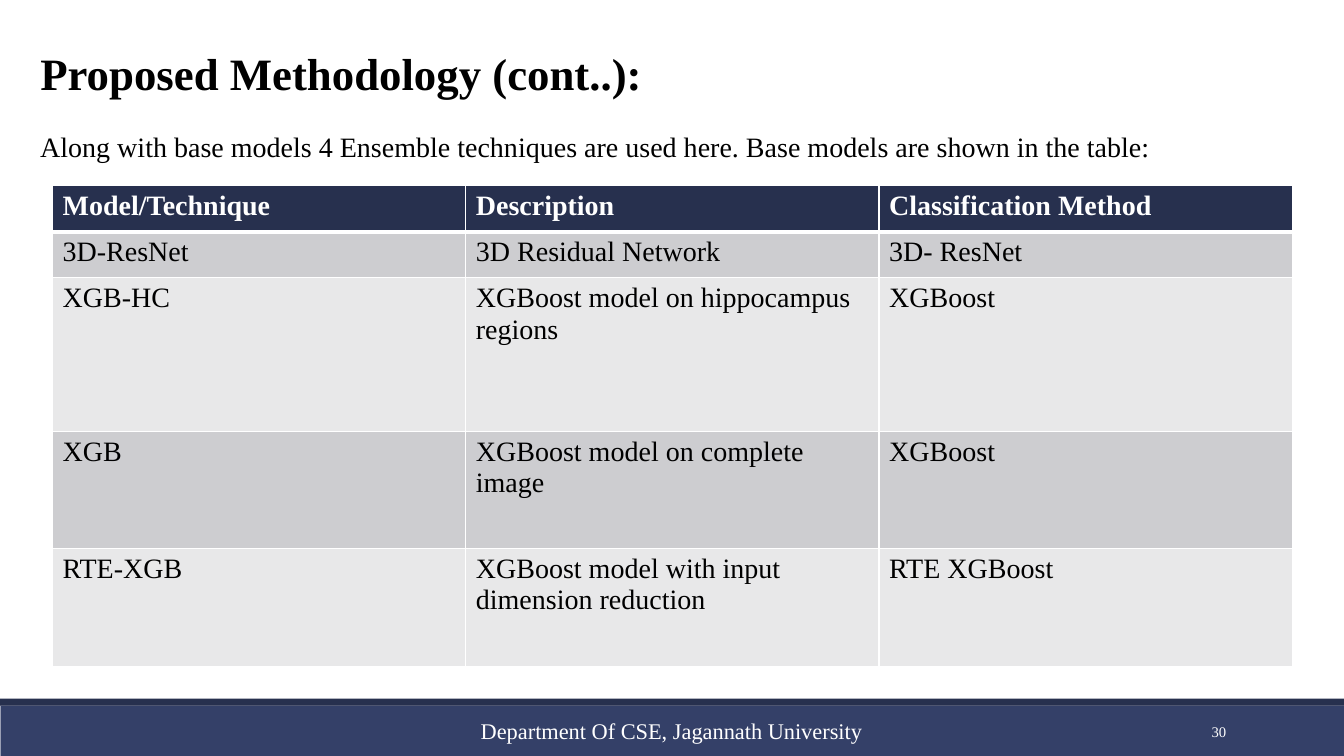
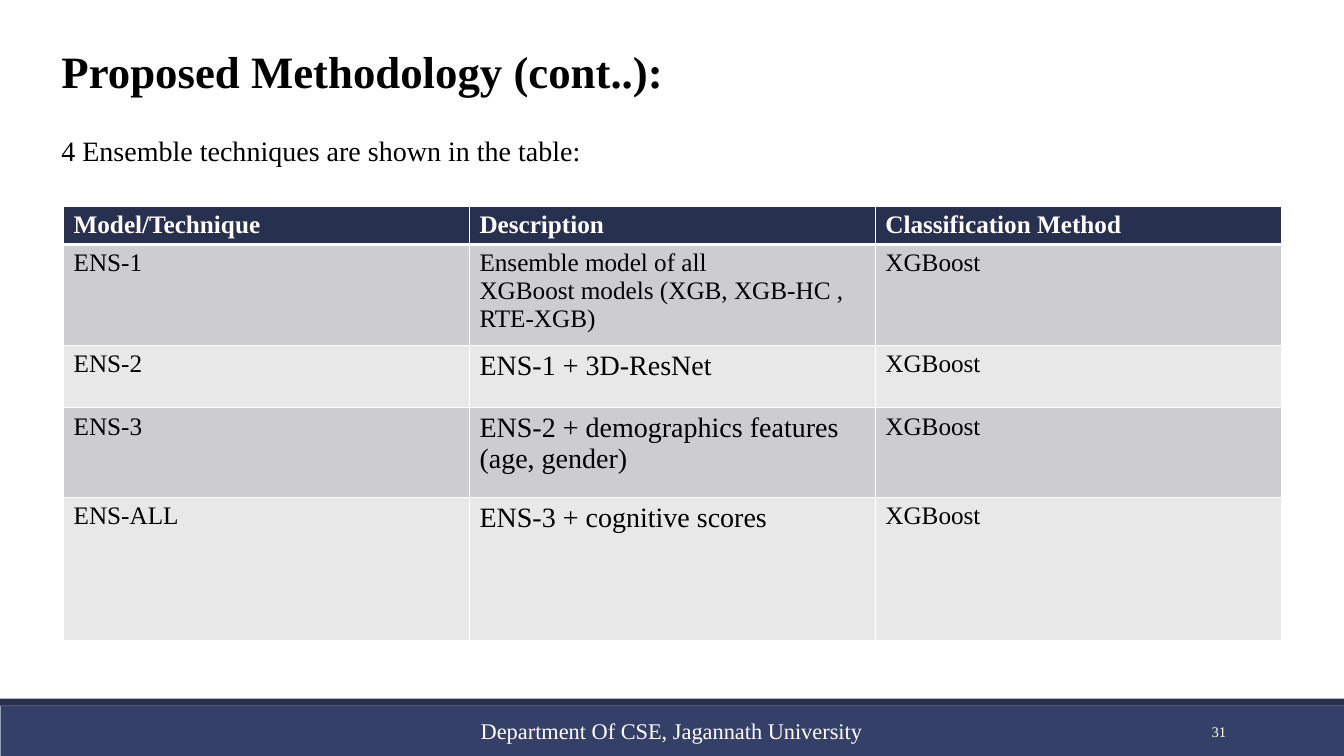
from lxml import etree
from pptx import Presentation
from pptx.dml.color import RGBColor
from pptx.enum.shapes import MSO_SHAPE
from pptx.enum.text import MSO_ANCHOR, MSO_AUTO_SIZE, PP_ALIGN
from pptx.oxml.ns import qn
from pptx.util import Pt

RECTANGLE = MSO_SHAPE.RECTANGLE
TOP, MIDDLE = MSO_ANCHOR.TOP, MSO_ANCHOR.MIDDLE
LEFT, CENTER, RIGHT = PP_ALIGN.LEFT, PP_ALIGN.CENTER, PP_ALIGN.RIGHT
NO_FIT = MSO_AUTO_SIZE.NONE
TITLE_ONLY = 5
WIDTH, HEIGHT = 960, 540

FONT = "Times New Roman"
BLACK, WHITE = "000000", "FFFFFF"
NAVY, INDIGO, OUTLINE = "27304E", "344068", "9A9FB4"
BANDS = ("CDCDD0", "E8E8E9")
HEADINGS = ("Model/Technique", "Description", "Classification Method")
FOOTER = "Department Of CSE, Jagannath University"


def rgb(value):
    return RGBColor.from_string(value)


class SlideBuilder:
    def __init__(self, deck):
        self.deck = deck
        self.slide = None

    def new_slide(self, number):
        layout = self.deck.slide_layouts[TITLE_ONLY]
        self.slide = self.deck.slides.add_slide(layout)
        self.band(504, 36, INDIGO, OUTLINE)
        self.band(499, 5, NAVY)
        self.text(str(number), (780, 508, 103, 29), 10.5, WHITE, RIGHT, MIDDLE)
        self.text(FOOTER, (290, 507.6, 379.4, 29), 16, WHITE, CENTER, MIDDLE)

    def band(self, top, height, fill, outline=None):
        band = self.slide.shapes.add_shape(
            RECTANGLE, Pt(0), Pt(top), Pt(WIDTH), Pt(height))
        band.shadow.inherit = False
        band.fill.solid()
        band.fill.fore_color.rgb = rgb(fill)
        if outline:
            band.line.color.rgb = rgb(outline)
            band.line.width = Pt(0.25)
        else:
            band.line.fill.background()

    def style(self, frame, size, color, align=LEFT, bold=False):
        for para in frame.paragraphs:
            para.alignment = align
            for span in para.runs:
                span.font.name = FONT
                span.font.size = Pt(size)
                span.font.bold = bold
                span.font.color.rgb = rgb(color)

    def fill_frame(self, box, words, anchor):
        frame = box.text_frame
        frame.text = words
        frame.word_wrap = True
        frame.auto_size = NO_FIT
        frame.vertical_anchor = anchor
        return frame

    def text(self, words, place, size, color=BLACK, align=LEFT, anchor=TOP):
        box = self.slide.shapes.add_textbox(*map(Pt, place))
        frame = self.fill_frame(box, words, anchor)
        self.style(frame, size, color, align)

    def title(self, words, left, top):
        box = self.slide.shapes.title
        box.left, box.top = Pt(left), Pt(top)
        box.width, box.height = Pt(587), Pt(46)
        frame = self.fill_frame(box, words, TOP)
        self.style(frame, 32, BLACK, bold=True)

    def borders(self, cell, widths):
        properties = cell._tc.get_or_add_tcPr()
        for index, (side, width) in enumerate(widths.items()):
            line = etree.Element(qn(f"a:ln{side}"), w=str(Pt(width)))
            paint = etree.SubElement(line, qn("a:solidFill"))
            etree.SubElement(paint, qn("a:srgbClr"), val=WHITE)
            properties.insert(index, line)

    def table(self, rows, left, top, column_width, heights, sizes):
        grid = [HEADINGS, *rows]
        table = self.slide.shapes.add_table(
            len(grid), len(HEADINGS), Pt(left), Pt(top),
            Pt(column_width * len(HEADINGS)), Pt(sum(heights))).table
        table.horz_banding = False
        for column in table.columns:
            column.width = Pt(column_width)
        for r, words in enumerate(grid):
            table.rows[r].height = Pt(heights[r])
            header = r == 0
            for c, word in enumerate(words):
                cell = table.cell(r, c)
                cell.text_frame.text = word
                self.style(cell.text_frame, sizes.get((r, c), sizes["base"]),
                           WHITE if header else BLACK, bold=header)
                cell.fill.solid()
                cell.fill.fore_color.rgb = rgb(
                    NAVY if header else BANDS[(r - 1) % 2])
                self.borders(cell, {"L": 1, "R": 1,
                                    "T": 3 if r == 1 else 1,
                                    "B": 3 if header else 1})


def main():
    deck = Presentation()
    deck.slide_width, deck.slide_height = Pt(WIDTH), Pt(HEIGHT)
    builder = SlideBuilder(deck)

    builder.new_slide(30)
    builder.title("Proposed Methodology (cont..):", 21.6, 29)
    builder.text("Along with base models 4 Ensemble techniques are used here. "
                 "Base models are shown in the table:",
                 (21.6, 89.3, 830, 31.5), 20)
    base_models = [
        ("3D-ResNet", "3D Residual Network", "3D- ResNet"),
        ("XGB-HC", "XGBoost model on hippocampus regions", "XGBoost"),
        ("XGB", "XGBoost model on complete image", "XGBoost"),
        ("RTE-XGB", "XGBoost model with input dimension reduction",
         "RTE XGBoost"),
    ]
    builder.table(base_models, 37.5, 132.5, 295.2,
                  (33, 33, 109.5, 84, 84), {"base": 20})

    builder.new_slide(31)
    builder.title("Proposed Methodology (cont..):", 36.7, 27.5)
    builder.text("4 Ensemble techniques are shown in the table:",
                 (36.7, 91.5, 677, 31.5), 20)
    ensembles = [
        ("ENS-1", "Ensemble model of all\n"
         "XGBoost models (XGB, XGB-HC , RTE-XGB)", "XGBoost"),
        ("ENS-2", "ENS-1 + 3D-ResNet", "XGBoost"),
        ("ENS-3", "ENS-2 + demographics features (age, gender)", "XGBoost"),
        ("ENS-ALL", "ENS-3 + cognitive scores", "XGBoost"),
    ]
    builder.table(ensembles, 45.4, 147.2, 289.9,
                  (27.4, 72, 44.6, 64, 102.2),
                  {"base": 18, (2, 1): 20, (3, 1): 20, (4, 1): 20})

    deck.save("out.pptx")


if __name__ == "__main__":
    main()
